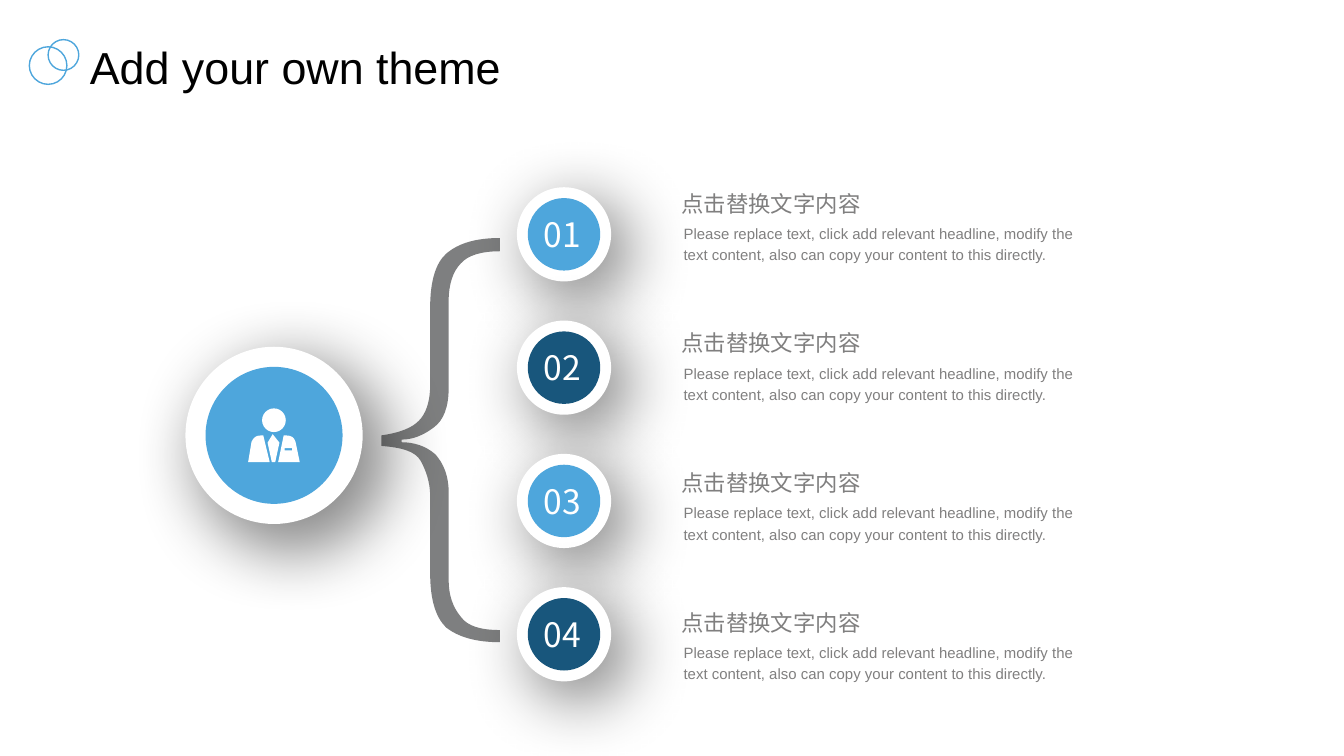
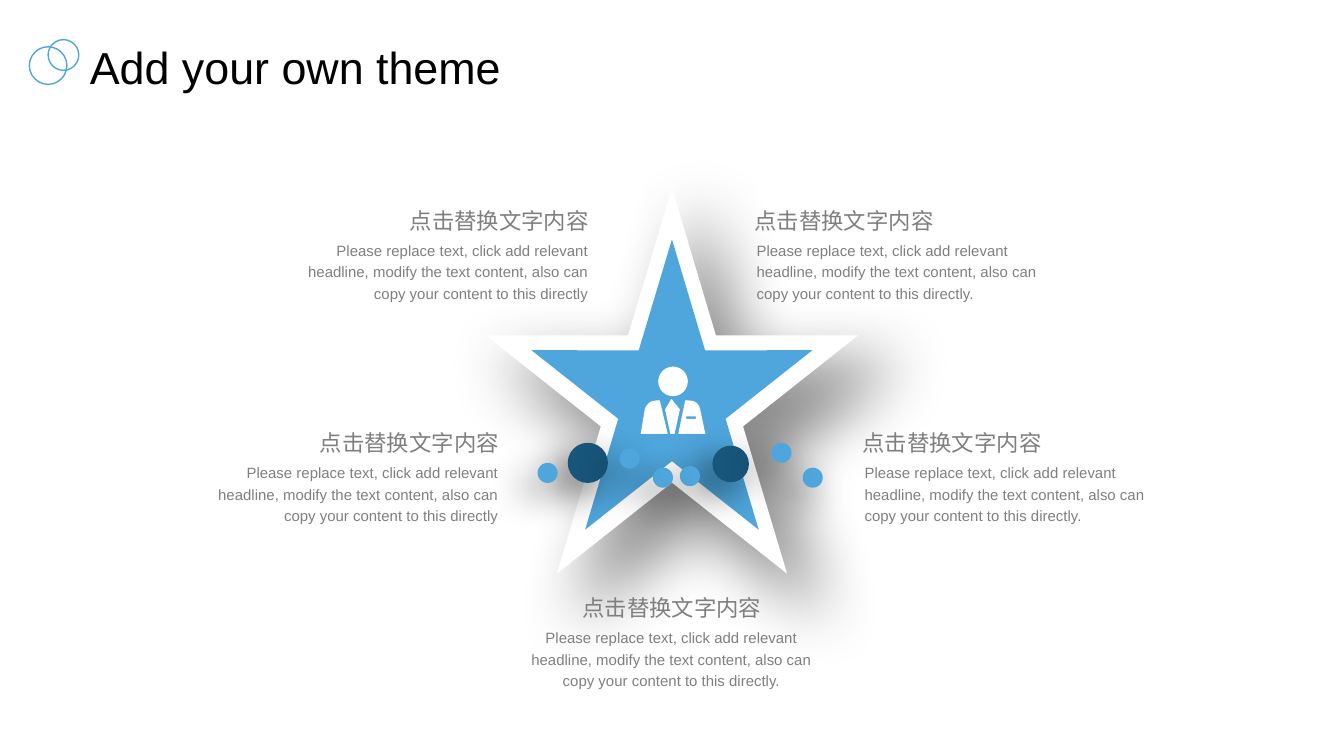
import dataclasses
import typing

import pptx
import pptx.dml.color
import pptx.enum.shapes
import pptx.enum.text
import pptx.oxml.ns
import pptx.util
from lxml import etree

Cm = pptx.util.Cm
Pt = pptx.util.Pt
RGBColor = pptx.dml.color.RGBColor
Align = pptx.enum.text.PP_ALIGN
Preset = pptx.enum.shapes.MSO_SHAPE
qn = pptx.oxml.ns.qn

BLACK = RGBColor(0x00, 0x00, 0x00)
WHITE = RGBColor(0xFF, 0xFF, 0xFF)
SKY = RGBColor(0x4E, 0xA6, 0xDC)
NAVY = RGBColor(0x18, 0x56, 0x7C)
BRACE_GREY = RGBColor(0x7E, 0x7F, 0x80)
TEXT_GREY = RGBColor(0x80, 0x7F, 0x7F)

TITLE = "Add your own theme"
HEADING = "点击替换文字内容"
BODY = ("Please replace text, click add relevant headline, modify the text content, "
        "also can copy your content to this directly")

TITLE_FONT = {"name": "Arial", "size": Pt(24)}
HEADING_FONT = {"name": "Arial", "size": Pt(12)}
BODY_FONT = {"name": "Arial", "size": Pt(8)}
NUMBER_FONT = {"name": "Noto Sans CJK SC", "size": Pt(18)}
FIT = pptx.enum.text.MSO_AUTO_SIZE.SHAPE_TO_FIT_TEXT
FLUSH_FRAME = {"word_wrap": True, "auto_size": FIT, "margin_left": 0,
               "margin_right": 0, "margin_top": 0, "margin_bottom": 0,
               "vertical_anchor": pptx.enum.text.MSO_ANCHOR.TOP}
NUMBER_FRAME = {"word_wrap": False, "auto_size": FIT}
LINE_SPACING = 1.2
BODY_LINE = 0.41
HEADING_WIDTH = 3.54

# An outline is a start point, then (x, y) lines or six-number cubic curves, in cm.
Outline = list[tuple[float, ...]]

BRACE: Outline = [
    (8.48, 10.97), (8.48, 11.25, 8.56, 11.48, 8.71, 11.66),
    (8.84, 11.84, 9.09, 11.91, 9.45, 11.91), (9.45, 12.14),
    (8.99, 12.14, 8.66, 12.04, 8.43, 11.86), (8.23, 11.66, 8.13, 11.33, 8.13, 10.82),
    (8.13, 9.37), (8.13, 9.12, 8.05, 8.89, 7.95, 8.71),
    (7.85, 8.53, 7.59, 8.46, 7.21, 8.43), (7.21, 8.23),
    (7.57, 8.18, 7.8, 8.08, 7.92, 7.95), (8.05, 7.82, 8.13, 7.59, 8.13, 7.29),
    (8.13, 5.82), (8.13, 5.33, 8.23, 4.98, 8.43, 4.8),
    (8.66, 4.6, 8.99, 4.5, 9.45, 4.5), (9.45, 4.75),
    (9.09, 4.75, 8.84, 4.83, 8.71, 4.98), (8.56, 5.13, 8.48, 5.38, 8.48, 5.69),
    (8.48, 7.34), (8.48, 7.7, 8.38, 7.95, 8.2, 8.08),
    (8.0, 8.23, 7.8, 8.31, 7.59, 8.31), (7.59, 8.36),
    (7.82, 8.36, 8.05, 8.43, 8.23, 8.59), (8.38, 8.76, 8.48, 8.99, 8.48, 9.3),
]
JACKET_RIGHT: Outline = [(1.12, 0.79), (1.09, 0.69, 1.02, 0.64, 0.91, 0.64),
                         (0.84, 0.64), (0.71, 1.27), (1.22, 1.27)]
POCKET: Outline = [(1.04, 0.99), (0.86, 0.99), (0.86, 0.94), (1.04, 0.94)]
JACKET_LEFT: Outline = [(0.3, 0.64), (0.36, 0.64), (0.51, 1.27), (0, 1.27),
                        (0.08, 0.79), (0.13, 0.69, 0.18, 0.64, 0.3, 0.64)]
TIE: Outline = [(0.58, 0.61), (0.46, 0.81), (0.56, 1.27), (0.64, 1.27), (0.74, 0.81)]
PERSON = [[JACKET_RIGHT, POCKET], [JACKET_LEFT], [TIE]]


@dataclasses.dataclass(frozen=True)
class Shadow:
    """Opacity and scale in percent, blur and distance in points, direction in degrees."""
    opacity: int
    blur: int
    distance: int
    direction: int
    scale: int = 100


@dataclasses.dataclass(frozen=True)
class Caption:
    """Heading and body held at x by the edge or middle that align names."""
    x: float
    top: float
    align: typing.Any = Align.LEFT
    width: float = 5.61
    lines: int = 3
    ending: str = "."


@dataclasses.dataclass(frozen=True)
class Dot:
    x: float
    y: float
    size: float = 0.38
    color: RGBColor = SKY


PLATE_SHADOW = Shadow(45, 35, 8, 50, scale=110)
DOT_SHADOW = Shadow(60, 20, 10, 135)

TITLE_RINGS = [Dot(0.91, 1.24, 0.71), Dot(1.2, 1.04, 0.58)]
LIST_CAPTIONS = [Caption(12.88, 3.59 + 2.64 * i, width=7.77, lines=2) for i in range(4)]
STAR_CAPTIONS = [
    Caption(14.26, 3.91),
    Caption(11.13, 3.91, Align.RIGHT, ending=""),
    Caption(16.3, 8.11),
    Caption(9.43, 8.11, Align.RIGHT, ending=""),
    Caption(12.7, 11.23, Align.CENTER),
]
STAR_DOTS = [
    Dot(13.81, 8.77, 0.69, NAVY), Dot(13.04, 9.0), Dot(15.36, 9.03), Dot(12.53, 9.03),
    Dot(11.11, 8.75, 0.76, NAVY), Dot(10.35, 8.94), Dot(14.77, 8.56), Dot(11.9, 8.67),
]


def apply(target: typing.Any, values: dict[str, typing.Any]) -> None:
    for name, value in values.items():
        setattr(target, name, value)


def paint(sp: typing.Any, fill: RGBColor | None, shadow: Shadow | None = None) -> None:
    sp.shadow.inherit = False
    sp.line.fill.background()
    if fill is None:
        sp.fill.background()
    else:
        sp.fill.solid()
        sp.fill.fore_color.rgb = fill
    if shadow:
        effects = sp._element.spPr.find(qn("a:effectLst"))
        scale = str(shadow.scale * 1000)
        outer = etree.SubElement(
            effects, qn("a:outerShdw"), blurRad=str(Pt(shadow.blur)),
            dist=str(Pt(shadow.distance)), dir=str(shadow.direction * 60000),
            sx=scale, sy=scale, algn="tl", rotWithShape="0")
        color = etree.SubElement(outer, qn("a:srgbClr"), val=str(BLACK))
        etree.SubElement(color, qn("a:alpha"), val=str(shadow.opacity * 1000))


def add_centred(shapes: typing.Any, preset: typing.Any, x: float, y: float, w: float,
                h: float, fill: RGBColor | None, shadow: Shadow | None = None) -> typing.Any:
    """Draw a preset shape around its middle point."""
    sp = shapes.add_shape(preset, Cm(x - w / 2), Cm(y - h / 2), Cm(w), Cm(h))
    paint(sp, fill, shadow)
    return sp


def add_disc(shapes: typing.Any, dot: Dot, shadow: Shadow | None = None) -> None:
    add_centred(shapes, Preset.OVAL, dot.x, dot.y, dot.size, dot.size, dot.color, shadow)


def add_plate(shapes: typing.Any, outer: float, inner: Dot) -> None:
    """Draw a disc on a larger white disc that casts a shadow."""
    add_disc(shapes, Dot(inner.x, inner.y, outer, WHITE), PLATE_SHADOW)
    add_disc(shapes, inner)


def add_outlines(shapes: typing.Any, outlines: list[Outline], fill: RGBColor | None,
                 x: float = 0, y: float = 0, scale: float = 1) -> typing.Any:
    """Draw one freeform; any outline after the first cuts a hole."""
    builder = None
    for outline in outlines:
        points = [(Cm(seg[i] * scale), Cm(seg[i + 1] * scale))
                  for seg in outline for i in range(0, len(seg), 2)]
        if builder is None:
            builder = shapes.build_freeform(*points[0])
        else:
            builder.move_to(*points[0])
        builder.add_line_segments(points[1:], close=True)
    sp = builder.convert_to_shape(Cm(x), Cm(y))
    paint(sp, fill)
    lines = iter(list(sp._element.iter(qn("a:lnTo"))))
    for segment in (seg for outline in outlines for seg in outline[1:]):
        first = next(lines)
        if len(segment) == 6:
            first.tag = qn("a:cubicBezTo")
            for _ in range(2):
                control = next(lines)
                first.append(control[0])
                control.getparent().remove(control)
    return sp


def add_person(shapes: typing.Any, x: float, y: float, scale: float = 1) -> None:
    add_disc(shapes, Dot(x + 0.61 * scale, y + 0.28 * scale, 0.56 * scale, WHITE))
    for outlines in PERSON:
        add_outlines(shapes, outlines, WHITE, x, y, scale)


def write(sp: typing.Any, text: str, font: dict[str, typing.Any], color: RGBColor,
          frame: dict[str, typing.Any] = FLUSH_FRAME, **paragraph: typing.Any) -> None:
    tf = sp.text_frame
    apply(tf, frame)
    p = tf.paragraphs[0]
    apply(p, paragraph)
    r = p.add_run()
    r.text = text
    apply(r.font, font)
    r.font.color.rgb = color


def add_panel(shapes: typing.Any, x: float, y: float, w: float, h: float) -> typing.Any:
    """Draw an unfilled freeform rectangle that carries text."""
    return add_outlines(shapes, [[(0, 0), (w, 0), (w, h), (0, h)]], None, x, y)


def add_caption(slide: typing.Any, caption: Caption) -> None:
    shapes = slide.shapes.add_group_shape().shapes
    share = {Align.LEFT: 0, Align.CENTER: 0.5, Align.RIGHT: 1}[caption.align]
    indent = 0.04 if caption.align == Align.LEFT else -0.01
    heading = add_panel(shapes, caption.x - share * HEADING_WIDTH, caption.top,
                        HEADING_WIDTH, 0.51)
    write(heading, HEADING, HEADING_FONT, TEXT_GREY, alignment=caption.align)
    body = add_panel(shapes, caption.x + indent - share * caption.width,
                     caption.top + 0.59, caption.width, caption.lines * BODY_LINE)
    write(body, BODY + caption.ending, BODY_FONT, TEXT_GREY,
          alignment=caption.align, line_spacing=LINE_SPACING)


def add_titled_slide(prs: typing.Any) -> typing.Any:
    s = prs.slides.add_slide(prs.slide_layouts[6])
    title = s.shapes.add_textbox(Cm(1.7), Cm(0.55), Cm(8.2), Cm(1.22))
    write(title, TITLE, TITLE_FONT, BLACK, line_spacing=LINE_SPACING)
    for ring in TITLE_RINGS:
        sp = add_centred(s.shapes, Preset.OVAL, ring.x, ring.y, ring.size, ring.size, None)
        sp.line.color.rgb = ring.color
        sp.line.width = Pt(0.75)
    return s


def build_list_slide(prs: typing.Any) -> None:
    s = add_titled_slide(prs)
    add_outlines(s.shapes, [BRACE], BRACE_GREY)
    hub = s.shapes.add_group_shape().shapes
    add_plate(hub, 3.35, Dot(5.18, 8.23, 2.59))
    add_person(hub, 4.69, 7.72, 0.8)
    for i in range(4):
        badge = s.shapes.add_group_shape().shapes
        x, y = 10.66, 4.43 + 2.52 * i
        add_plate(badge, 1.78, Dot(x, y, 1.37, NAVY if i % 2 else SKY))
        number = badge.add_textbox(Cm(x - 0.63), Cm(y - 0.51), Cm(1.27), Cm(1.02))
        write(number, f"{i + 1:02d}", NUMBER_FONT, WHITE, NUMBER_FRAME)
    for caption in LIST_CAPTIONS:
        add_caption(s, caption)


def build_star_slide(prs: typing.Any) -> None:
    s = add_titled_slide(prs)
    star = s.shapes.add_group_shape().shapes
    add_centred(star, Preset.STAR_5_POINT, 12.7, 7.2, 7.04, 7.29, WHITE, PLATE_SHADOW)
    add_centred(star, Preset.STAR_5_POINT, 12.7, 7.27, 5.31, 5.49, SKY)
    for dot in STAR_DOTS:
        add_disc(s.shapes, dot, DOT_SHADOW)
    add_person(s.shapes.add_group_shape().shapes, 12.11, 6.93)
    for caption in STAR_CAPTIONS:
        add_caption(s, caption)


def main() -> None:
    prs = pptx.Presentation()
    prs.slide_width, prs.slide_height = Cm(25.4), Cm(14.29)
    build_list_slide(prs)
    build_star_slide(prs)
    prs.save("out.pptx")


if __name__ == "__main__":
    main()
